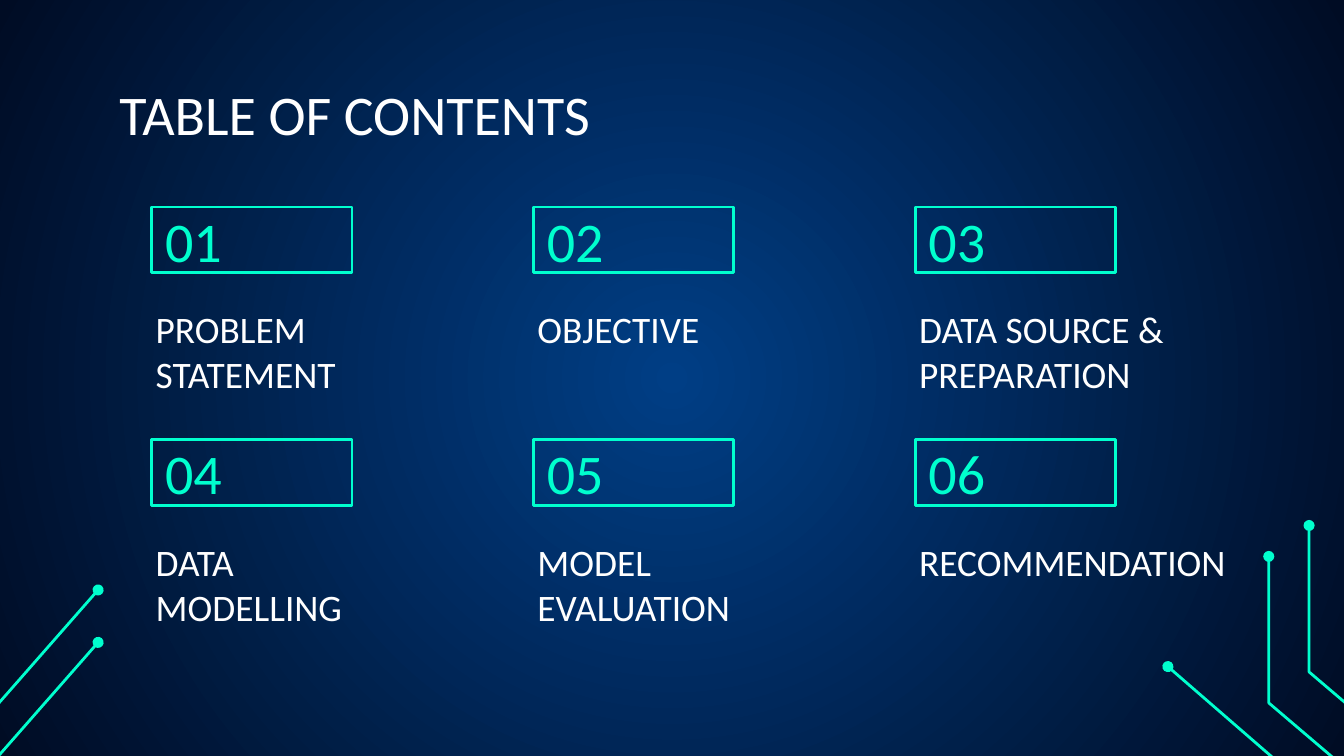
from pptx import Presentation
from pptx.dml.color import RGBColor
from pptx.enum.shapes import MSO_CONNECTOR, MSO_SHAPE
from pptx.enum.text import MSO_ANCHOR, PP_ALIGN
from pptx.oxml.ns import qn
from pptx.util import Inches, Pt
from lxml.etree import SubElement

WHITE = RGBColor(0xFF, 0xFF, 0xFF)
MINT = RGBColor(0x00, 0xFF, 0xCE)
BLUE = RGBColor(0x00, 0x3E, 0x85)
NAVY = RGBColor(0x00, 0x0C, 0x24)

FONT = "Calibri"
WIDTH = Inches(10)
HEIGHT = WIDTH * 9 // 16
COLS = 3
LEFT, TOP = 1.13, 1.54
COL, ROW = 2.84, 1.73
TOPICS = [
    "PROBLEM STATEMENT", "OBJECTIVE", "DATA SOURCE & PREPARATION",
    "DATA MODELLING", "MODEL EVALUATION", "RECOMMENDATION",
]
ELBOWS = [(9.44, 4.14), (9.74, 3.91)]
RAYS = [
    ((9.6, 5.75), (8.69, 4.96)),
    ((-0.06, 5.68), (0.73, 4.78)),
    ((-0.06, 5.29), (0.73, 4.39)),
]


def inches(*nums):
    """Turn numbers into lengths."""
    return [Inches(n) for n in nums]


def paint(slide):
    """Fill the background with a round gradient."""
    fill = slide.background.fill
    fill.gradient()
    for stop, color in zip(fill.gradient_stops, (BLUE, NAVY)):
        stop.color.rgb = color
    grad = slide.element.find(".//" + qn("a:gradFill"))
    grad.remove(grad.find(qn("a:lin")))
    ring = SubElement(grad, qn("a:path"), {"path": "circle"})
    SubElement(ring, qn("a:fillToRect"), dict.fromkeys("ltrb", "50000"))


def stroke(shape):
    """Give a shape the mint outline."""
    shape.line.color.rgb = MINT
    shape.line.width = Pt(1.5)


def cap(shape):
    """End a mint line with a dot."""
    stroke(shape)
    line = shape.element.spPr.find(qn("a:ln"))
    SubElement(line, qn("a:tailEnd"), {"type": "oval"})


def add_ray(slide, start, end):
    """Draw a straight circuit line."""
    ray = slide.shapes.add_connector(
        MSO_CONNECTOR.STRAIGHT, *inches(*start, *end))
    cap(ray)
    SubElement(ray.element.spPr, qn("a:effectLst"))


def add_elbow(slide, x, y):
    """Draw a bent circuit line that ends at a point."""
    pen = slide.shapes.build_freeform(*inches(x + 0.61, y + 1.61))
    pen.add_line_segments(
        [inches(x, y + 1.09), inches(x, y)], close=False)
    elbow = pen.convert_to_shape()
    elbow.fill.background()
    elbow.shadow.inherit = False
    cap(elbow)


def write(shape, text, size, color, anchor=MSO_ANCHOR.TOP):
    """Put left-aligned text in a shape."""
    frame = shape.text_frame
    frame.text = text
    frame.word_wrap = True
    frame.vertical_anchor = anchor
    frame.margin_left = frame.margin_right = Inches(0.1)
    frame.margin_top = frame.margin_bottom = Inches(0.1)
    para = frame.paragraphs[0]
    para.alignment = PP_ALIGN.LEFT
    font = para.runs[0].font
    font.name, font.size, font.color.rgb = FONT, Pt(size), color


def add_label(slide, place, text, size):
    """Add a white text box."""
    write(slide.shapes.add_textbox(*inches(*place)), text, size, WHITE)


def add_badge(slide, x, y, text):
    """Add an outlined number box."""
    box = slide.shapes.add_shape(
        MSO_SHAPE.RECTANGLE, *inches(x, y, 1.49, 0.49))
    box.fill.background()
    box.shadow.inherit = False
    stroke(box)
    write(box, text, 30, MINT, MSO_ANCHOR.MIDDLE)


def add_topic(slide, index, text):
    """Add one numbered topic in its grid cell."""
    row, col = divmod(index, COLS)
    x, y = LEFT + col * COL, TOP + row * ROW
    wide = 2.7 if col == COLS - 1 else 2.21
    add_badge(slide, x, y, f"{index + 1:02d}")
    add_label(slide, (x - 0.07, y + 0.64, wide, 0.91), text, 20)


def main():
    """Build the contents slide."""
    deck = Presentation()
    deck.slide_width, deck.slide_height = WIDTH, HEIGHT
    slide = deck.slides.add_slide(deck.slide_layouts[6])
    paint(slide)
    for x, y in ELBOWS:
        add_elbow(slide, x, y)
    for start, end in RAYS:
        add_ray(slide, start, end)
    add_label(slide, (0.79, 0.49, 8.43, 0.63), "TABLE OF CONTENTS", 30)
    for index, text in enumerate(TOPICS):
        add_topic(slide, index, text)
    deck.save("out.pptx")


if __name__ == "__main__":
    main()
